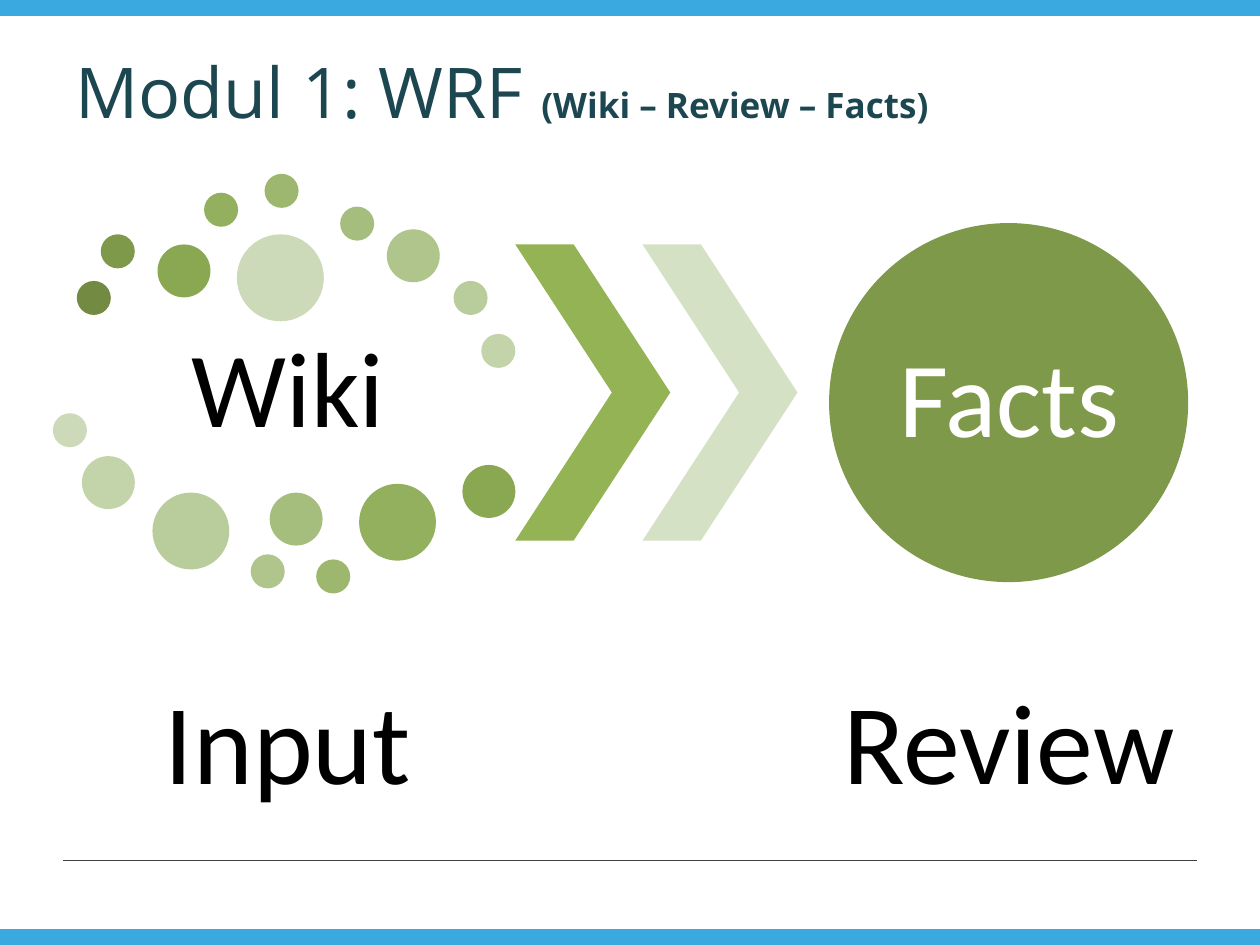
from pptx import Presentation
from pptx.dml.color import RGBColor
from pptx.enum.shapes import MSO_CONNECTOR as Connector, MSO_SHAPE as Shape
from pptx.enum.text import MSO_ANCHOR as Anchor, PP_ALIGN as Align
from pptx.oxml.ns import qn
from pptx.util import Inches, Pt
from lxml.etree import SubElement

COLORS = {
    "bar": "3AA9E0", "rule": "404040", "title": "1D4750",
    "black": "000000", "white": "FFFFFF",
    "arrow": "94B355", "pale arrow": "D5E1C4",
    "green 0": "738A42", "green 1": "7E9949", "green 2": "8AA751",
    "green 3": "93B05E", "green 4": "9DB76E", "green 5": "A6BE7D",
    "green 6": "AFC58C", "green 7": "B9CC9B", "green 8": "C3D3AA",
    "green 9": "CDDAB9",
}
SMALL, MEDIUM, LARGE, HUGE = 0.27, 0.42, 0.61, 0.69

UPPER_DOTS = [
    (0.61, 2.23, SMALL), (0.8, 1.86, SMALL), (1.25, 1.94, MEDIUM),
    (1.62, 1.53, SMALL), (2.1, 1.38, SMALL), (2.7, 1.64, SMALL),
    (3.07, 1.82, MEDIUM), (3.6, 2.23, SMALL), (3.82, 2.65, SMALL),
    (1.88, 1.86, HUGE),
]
LOWER_DOTS = [
    (0.42, 3.28, SMALL), (0.65, 3.62, MEDIUM), (1.21, 3.91, LARGE),
    (1.99, 4.4, SMALL), (2.14, 3.91, MEDIUM), (2.51, 4.44, SMALL),
    (2.85, 3.84, LARGE), (3.67, 3.69, MEDIUM),
]


def color(name):
    return RGBColor.from_string(COLORS[name])


class SlideBuilder:
    title_font = "Open Sans"
    label_font = "Calibri"

    def __init__(self, page):
        self.page = page

    def shape(self, kind, left, top, width, height, fill, outlined=False):
        shape = self.page.shapes.add_shape(
            kind, Inches(left), Inches(top), Inches(width), Inches(height))
        shape.shadow.inherit = False
        shape.fill.solid()
        shape.fill.fore_color.rgb = color(fill)
        if outlined:
            shape.line.color.rgb = color(fill)
            shape.line.width = Pt(0.75)
        else:
            shape.line.fill.background()
        return shape

    def circle(self, left, top, size, fill):
        self.shape(Shape.OVAL, left, top, size, size, fill)

    def chevron(self, left, fill):
        chevron = self.shape(Shape.CHEVRON, left, 1.94, 1.23, 2.35, fill)
        chevron.adjustments[0] = 0.623

    def rule(self, left, right, top):
        line = self.page.shapes.add_connector(
            Connector.STRAIGHT, Inches(left), Inches(top), Inches(right), Inches(top))
        line.line.color.rgb = color("rule")
        line.line.width = Pt(0.25)
        SubElement(line._element.spPr, qn("a:effectLst"))

    def text_box(self, left, top, width, height):
        box = self.page.shapes.add_textbox(
            Inches(left), Inches(top), Inches(width), Inches(height))
        frame = box.text_frame
        frame.word_wrap = True
        frame.vertical_anchor = Anchor.MIDDLE
        return frame

    def title(self, heading, detail):
        para = self.text_box(0.5, 0.3, 9, 0.83).paragraphs[0]
        para.font.name = self.title_font
        para.font.color.rgb = color("title")
        for text, size, bold in ((heading, 40, False), (detail, 20, True)):
            span = para.add_run()
            span.text = text
            span.font.size = Pt(size)
            span.font.bold = bold

    def label(self, text, left, top, width, height, size, inset, ink="black"):
        frame = self.text_box(left, top, width, height)
        frame.margin_left = frame.margin_right = Inches(inset)
        frame.margin_top = frame.margin_bottom = Inches(inset)
        para = frame.paragraphs[0]
        para.text = text
        para.alignment = Align.CENTER
        para.line_spacing = 0.9
        para.font.name = self.label_font
        para.font.size = Pt(size)
        para.font.color.rgb = color(ink)


def main():
    deck = Presentation()
    deck.slide_width, deck.slide_height = Inches(10), Inches(7.5)
    builder = SlideBuilder(deck.slides.add_slide(deck.slide_layouts[6]))

    for top in (0, 7.38):
        builder.shape(Shape.RECTANGLE, 0, top, 10, 0.12, "bar", outlined=True)
    builder.rule(0.5, 9.5, 6.83)
    builder.title("Modul 1: WRF ", "(Wiki – Review – Facts)")

    builder.label("Wiki", 0.61, 2.57, 3.35, 1.1, 61, 0.08)
    builder.label("Input", 0.61, 4.9, 3.35, 2.07, 65, 0.09)
    for shade, dot in enumerate(UPPER_DOTS):
        builder.circle(*dot, f"green {shade}")
    for step, dot in enumerate(LOWER_DOTS):
        builder.circle(*dot, f"green {9 - step}")

    builder.chevron(4.09, "arrow")
    builder.chevron(5.1, "pale arrow")

    builder.circle(6.58, 1.77, 2.85, "green 1")
    builder.label("Facts", 7, 2.19, 2.02, 2.02, 61, 0, "white")
    builder.label("Review", 6.33, 4.9, 3.36, 2.07, 65, 0.09)

    deck.save("out.pptx")


if __name__ == "__main__":
    main()
